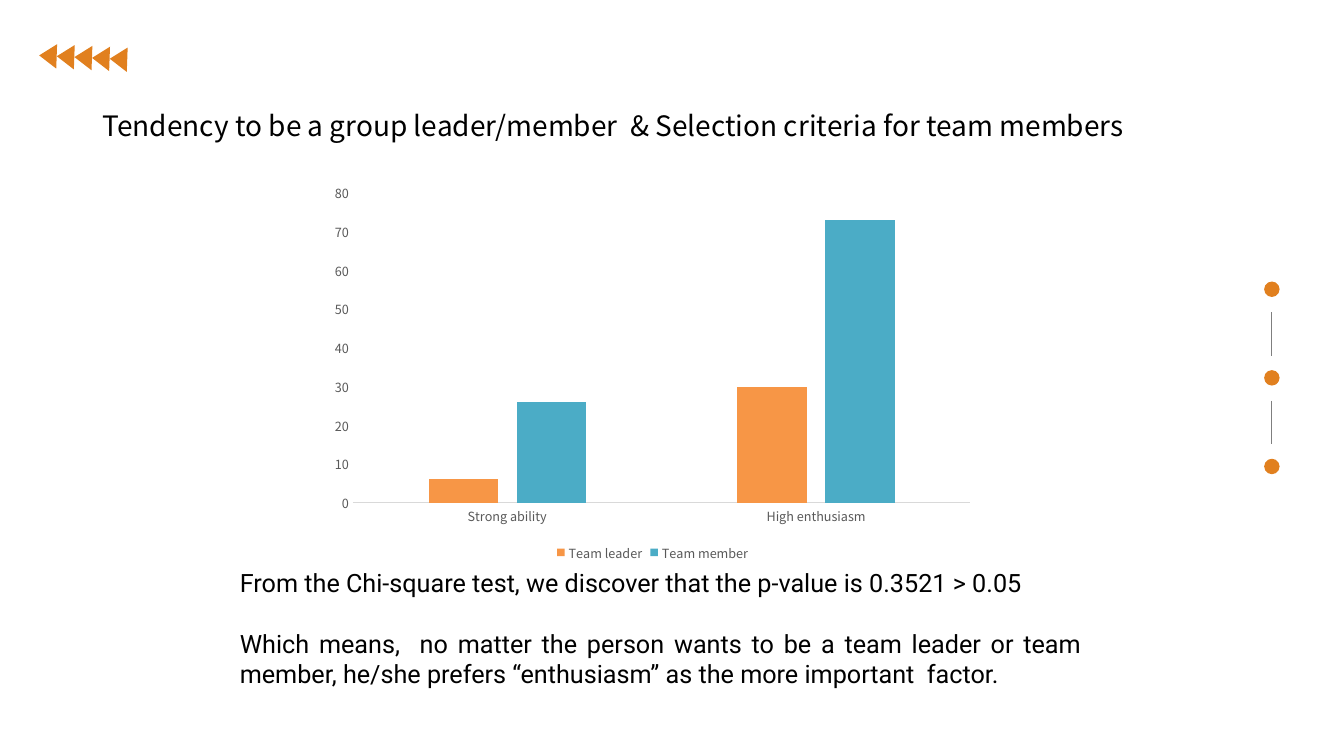
import pptx
import pptx.chart.data
import pptx.dml.color
import pptx.enum.chart
import pptx.enum.shapes
import pptx.enum.text
import pptx.oxml
import pptx.oxml.ns
import pptx.util

Pt = pptx.util.Pt
Align = pptx.enum.text.PP_ALIGN
Tick = pptx.enum.chart.XL_TICK_MARK
COLORS = {"text": "000000", "label": "595959", "axis": "D9D9D9", "accent": "E1801F",
          "rule": "7F7F7F", "leader": "F79646", "member": "4BACC6"}
SANS = "Noto Sans CJK SC"
BODY = "Roboto"


def rgb(name):
    return pptx.dml.color.RGBColor.from_string(COLORS[name])


class Deck:
    def __init__(self, wide, high):
        self.prs = pptx.Presentation()
        self.prs.slide_width, self.prs.slide_height = Pt(wide), Pt(high)
        self.slide = self.prs.slides.add_slide(self.prs.slide_layouts[6])
        self.shapes = self.slide.shapes

    def style(self, font, face, size, color):
        font.name, font.size = face, Pt(size)
        font.color.rgb = rgb(color)

    def text(self, box, lines, face, size, align=Align.LEFT, lead=1.0, gap=0):
        frame = self.shapes.add_textbox(*map(Pt, box)).text_frame
        frame.word_wrap = True
        for i, line in enumerate(lines):
            para = frame.add_paragraph() if i else frame.paragraphs[0]
            para.text = line
            para.alignment, para.line_spacing = align, lead
            para.space_before = Pt(gap if i else 0)
            self.style(para.font, face, size, "text")

    def shape_fill(self, shape, color):
        shape.shadow.inherit = False
        shape.fill.solid()
        shape.fill.fore_color.rgb = rgb(color)

    def arrow(self, left, top):
        form = self.shapes.build_freeform(Pt(left), Pt(top + 8), scale=1.0)
        form.add_line_segments([(Pt(left + 12.2), Pt(top + 17.4)), (Pt(left + 12.8), Pt(top))])
        shape = form.convert_to_shape()
        self.shape_fill(shape, "accent")
        shape.line.fill.background()

    def dot(self, mid, top, size):
        oval = pptx.enum.shapes.MSO_SHAPE.OVAL
        shape = self.shapes.add_shape(oval, Pt(mid - size / 2), Pt(top), Pt(size), Pt(size))
        self.shape_fill(shape, "accent")
        shape.line.color.rgb, shape.line.width = rgb("accent"), Pt(1)

    def rule(self, mid, top, end):
        kind = pptx.enum.shapes.MSO_CONNECTOR.STRAIGHT
        line = self.shapes.add_connector(kind, Pt(mid), Pt(top), Pt(mid), Pt(end))
        line.line.color.rgb, line.line.width = rgb("rule"), Pt(0.5)
        props = line._element.spPr
        props.append(pptx.oxml.parse_xml(
            "<a:effectLst %s/>" % pptx.oxml.ns.nsdecls("a")))

    def columns(self, box, cats, series):
        data = pptx.chart.data.CategoryChartData()
        data.categories = cats
        for name, vals, _ in series:
            data.add_series(name, vals)
        kind = pptx.enum.chart.XL_CHART_TYPE.COLUMN_CLUSTERED
        chart = self.shapes.add_chart(kind, *map(Pt, box), data).chart
        chart.has_title = False
        self.style(chart.font, SANS, 10, "text")

        # Bars
        plot = chart.plots[0]
        plot.vary_by_categories = False
        plot.gap_width, plot.overlap = 219, -27
        for bars, (_, _, color) in zip(plot.series, series):
            bars.format.fill.solid()
            bars.format.fill.fore_color.rgb = rgb(color)

        # Axes
        for axis in (chart.category_axis, chart.value_axis):
            axis.has_major_gridlines = False
            axis.major_tick_mark = axis.minor_tick_mark = Tick.NONE
            self.style(axis.tick_labels.font, SANS, 9, "label")
        base = chart.category_axis.format.line
        base.color.rgb, base.width = rgb("axis"), Pt(0.75)
        scale = chart.value_axis
        scale.format.line.fill.background()
        scale.minimum_scale, scale.maximum_scale, scale.major_unit = 0, 80, 10

        # Legend
        chart.has_legend = True
        chart.legend.position = pptx.enum.chart.XL_LEGEND_POSITION.BOTTOM
        chart.legend.include_in_layout = False
        self.style(chart.legend.font, SANS, 9, "label")


def main():
    deck = Deck(960, 540)

    # Title
    deck.text((66.2, 77, 828, 104.4),
              ["Tendency to be a group leader/member  & Selection criteria for team members"],
              SANS, 20, lead=0.9)

    # Chart
    deck.columns((229.7, 126, 473, 277.9), ["Strong ability", "High enthusiasm"],
                 [("Team leader", (6, 30), "leader"), ("Team member", (26, 73), "member")])

    # Row of arrows
    for i in range(5):
        deck.arrow(28 + 12.6 * i, 31.6 + 0.6 * i)

    # Dots with rules between them
    mid, top, step = 908.5, 201.6, 63.3
    for i in range(3):
        deck.dot(mid, top + step * i, 10)
    for i in range(2):
        deck.rule(mid, top + step * i + 21.5, top + step * i + 52.5)

    # Findings
    deck.text((164.2, 401.8, 615.6, 94.3),
              ["From the Chi-square test, we discover that the p-value is 0.3521 > 0.05",
               "Which means,  no matter the person wants to be a team leader or team member, "
               "he/she prefers “enthusiasm” as the more important  factor."],
              BODY, 18, align=Align.JUSTIFY, gap=21.5)

    deck.prs.save("out.pptx")


if __name__ == "__main__":
    main()
